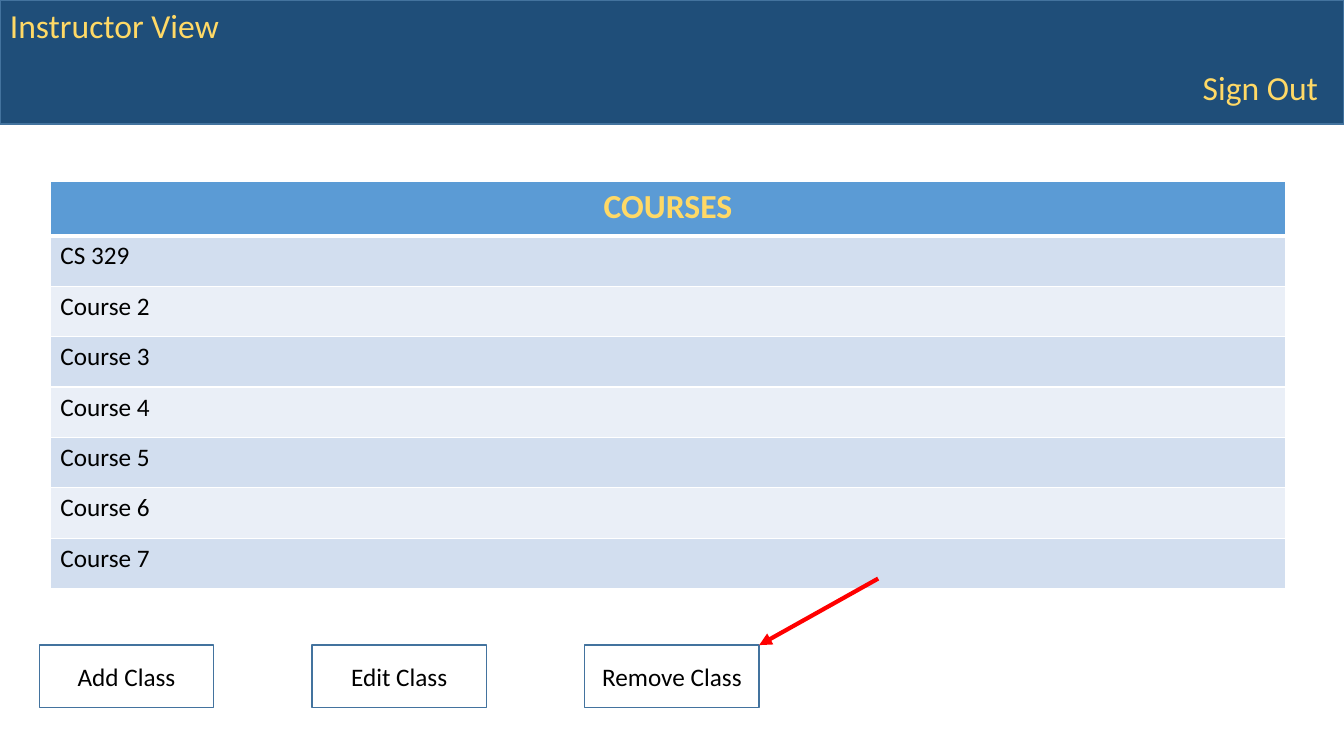
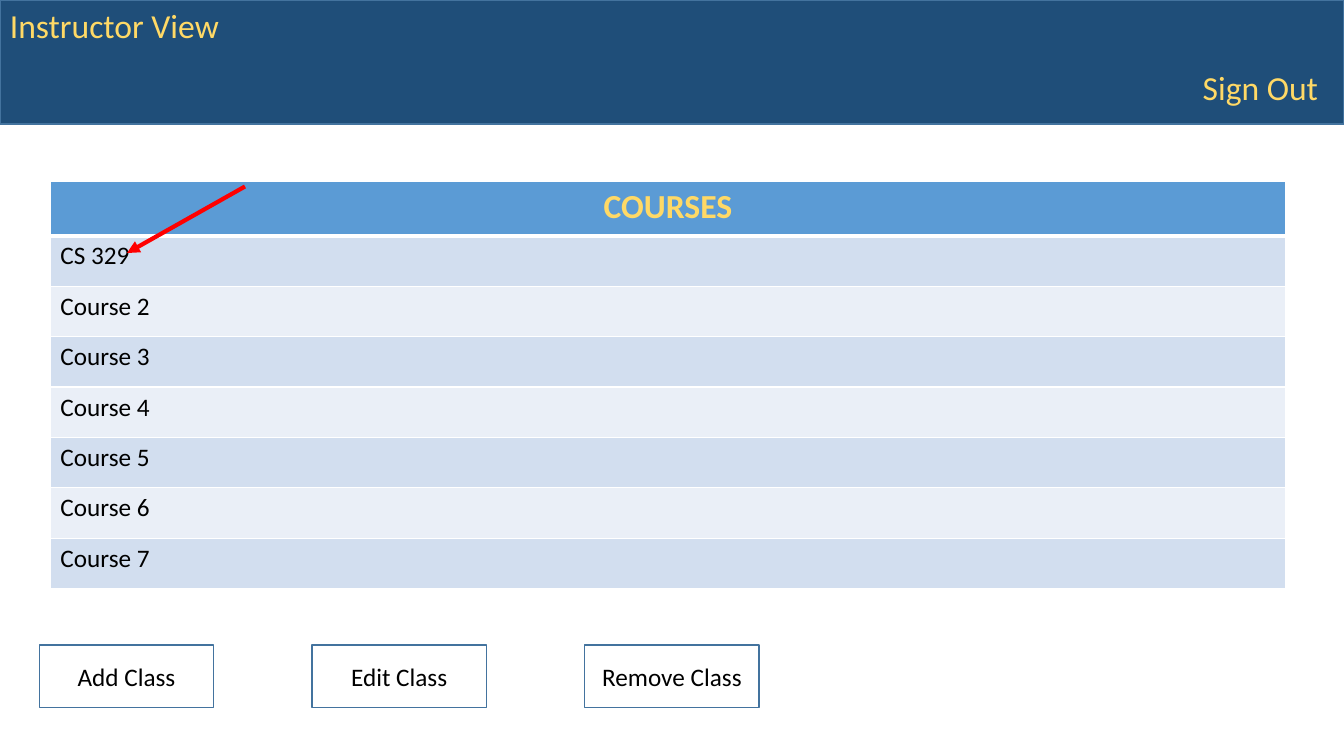
from lxml.etree import SubElement
from pptx import Presentation
from pptx.dml.color import RGBColor
from pptx.enum.shapes import MSO_CONNECTOR, MSO_SHAPE
from pptx.enum.text import MSO_ANCHOR, MSO_AUTO_SIZE, PP_ALIGN
from pptx.oxml.ns import qn
from pptx.util import Inches, Pt

COLORS = {
    "banner": "1F4E79",
    "outline": "43739E",
    "gold": "FFD966",
    "header": "5B9BD5",
    "odd_row": "D2DEEF",
    "even_row": "EAEFF7",
    "rule": "FFFFFF",
    "text": "000000",
    "pointer": "FF0000",
}
FONT = "Calibri"
COURSES = ["CS 329"] + [f"Course {number}" for number in range(2, 8)]
ACTIONS = ["Add Class", "Edit Class", "Remove Class"]
POINTERS = [((8.71, 5.74), (7.53, 6.4)), ((2.43, 1.85), (1.26, 2.51))]


def color(name):
    """Return the named palette colour."""
    return RGBColor.from_string(COLORS[name])


def write(frame, text, size, color_name, align=PP_ALIGN.LEFT, bold=False):
    """Fill a text frame with one styled paragraph."""
    frame.text = text
    paragraph = frame.paragraphs[0]
    paragraph.alignment = align
    paragraph.font.name = FONT
    paragraph.font.size = Pt(size)
    paragraph.font.bold = bold
    paragraph.font.color.rgb = color(color_name)


def add_box(slide, left, top, width, height, fill_name=None):
    """Add an outlined rectangle, filled only when a colour is named."""
    box = slide.shapes.add_shape(
        MSO_SHAPE.RECTANGLE, Inches(left), Inches(top), Inches(width), Inches(height)
    )
    box.shadow.inherit = False
    if fill_name:
        box.fill.solid()
        box.fill.fore_color.rgb = color(fill_name)
    else:
        box.fill.background()
    box.line.color.rgb = color("outline")
    box.line.width = Pt(1)
    return box


def add_label(slide, text, left, top, width):
    """Add a gold banner label."""
    label = slide.shapes.add_textbox(
        Inches(left), Inches(top), Inches(width), Inches(0.5)
    )
    label.text_frame.word_wrap = True
    label.text_frame.auto_size = MSO_AUTO_SIZE.SHAPE_TO_FIT_TEXT
    write(label.text_frame, text, 24, "gold")


def add_banner(slide):
    """Add the top band with its two labels."""
    add_box(slide, 0, 0, 13.33, 1.23, "banner")
    add_label(slide, "Instructor View", 0, 0, 2.3)
    add_label(slide, "Sign Out", 11.83, 0.61, 1.64)


def style_cell(cell, fill_name, top=1, bottom=1):
    """Give a cell white borders of the given widths and a solid fill."""
    properties = cell._tc.get_or_add_tcPr()
    for side, width in (("L", 1), ("R", 1), ("T", top), ("B", bottom)):
        border = SubElement(properties, qn(f"a:ln{side}"), w=str(Pt(width)))
        fill = SubElement(border, qn("a:solidFill"))
        SubElement(fill, qn("a:srgbClr"), val=COLORS["rule"])
    cell.fill.solid()
    cell.fill.fore_color.rgb = color(fill_name)


def add_course_table(slide):
    """Add the one-column course list under its heading."""
    table = slide.shapes.add_table(
        len(COURSES) + 1, 1, Inches(0.5), Inches(1.8), Inches(12.25), Inches(4.04)
    ).table
    table.rows[0].height = Inches(0.54)
    heading = table.cell(0, 0)
    style_cell(heading, "header", bottom=3)
    write(heading.text_frame, "COURSES", 24, "gold", PP_ALIGN.CENTER, bold=True)
    for row, course in enumerate(COURSES, start=1):
        table.rows[row].height = Inches(0.5)
        cell = table.cell(row, 0)
        style_cell(cell, "odd_row" if row % 2 else "even_row", top=3 if row == 1 else 1)
        write(cell.text_frame, course, 18, "text")


def add_buttons(slide):
    """Add the evenly spaced row of action buttons."""
    for index, action in enumerate(ACTIONS):
        button = add_box(slide, 0.39 + index * 2.705, 6.4, 1.73, 0.62)
        button.text_frame.word_wrap = True
        button.text_frame.vertical_anchor = MSO_ANCHOR.MIDDLE
        write(button.text_frame, action, 18, "text", PP_ALIGN.CENTER)


def add_pointer(slide, start, end):
    """Add a red arrow from start to end."""
    pointer = slide.shapes.add_connector(
        MSO_CONNECTOR.STRAIGHT, *(Inches(value) for value in start + end)
    )
    pointer.line.color.rgb = color("pointer")
    pointer.line.width = Pt(3)
    SubElement(pointer.line._get_or_add_ln(), qn("a:tailEnd"), type="triangle")
    SubElement(pointer._element.spPr, qn("a:effectLst"))


def main():
    """Build one course screen for each pointer and save the deck."""
    deck = Presentation()
    deck.slide_width, deck.slide_height = Inches(13.33), Inches(7.5)
    for start, end in POINTERS:
        slide = deck.slides.add_slide(deck.slide_layouts[6])
        add_banner(slide)
        add_course_table(slide)
        add_buttons(slide)
        add_pointer(slide, start, end)
    deck.save("out.pptx")


if __name__ == "__main__":
    main()
